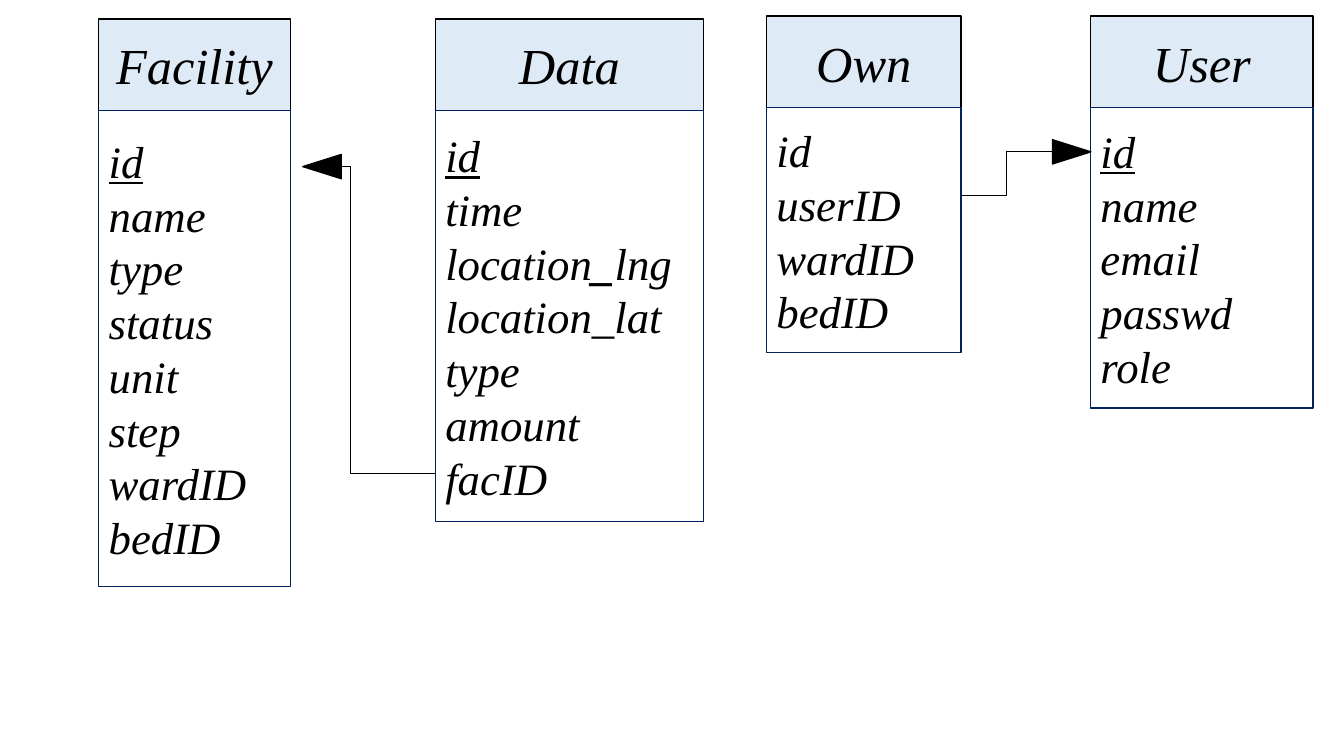
from dataclasses import dataclass

from lxml import etree
from pptx import Presentation
from pptx.dml.color import RGBColor
from pptx.enum import shapes, text
from pptx.oxml import ns
from pptx.util import Pt


@dataclass(frozen=True)
class Theme:
    """Colours, font and type sizes of the schema diagram."""
    ink: RGBColor = RGBColor(0, 0, 0)
    header: RGBColor = RGBColor(0xDE, 0xEB, 0xF7)
    frame: RGBColor = RGBColor(0x00, 0x20, 0x60)
    family: str = "Times New Roman"
    heading: int = 36
    field: int = 32
    border: float = 1
    link: float = 0.5


class Diagram:
    """Draws entities and their relations on one slide."""

    def __init__(self, slide, theme):
        """Keep the slide and its style."""
        self.slide, self.theme = slide, theme

    def shape(self, parent, kind, box, fill, line):
        """Add a preset shape with a flat fill and a thin border."""
        part = parent.add_shape(kind, *map(Pt, box))
        part.shadow.inherit = False
        if fill is None:
            part.fill.background()
        else:
            part.fill.solid()
            part.fill.fore_color.rgb = fill
        part.line.color.rgb = line
        part.line.width = Pt(self.theme.border)
        return part

    def label(self, paragraph, words, size, align, key=False):
        """Set italic words, with the text between asterisks in bold."""
        paragraph.alignment = align
        for index, piece in enumerate(words.split("*")):
            run = paragraph.add_run()
            run.text = piece
            if index % 2:
                run.font.bold = True
            for font in (paragraph.font, run.font):
                font.name, font.size, font.italic = self.theme.family, Pt(size), True
                font.color.rgb = self.theme.ink
                if key:
                    font.underline = True

    def entity(self, name, fields, left, top, width, heights, keyed=True):
        """Add a grouped header and field list."""
        theme = self.theme
        head_height, list_height = heights
        group = self.slide.shapes.add_group_shape().shapes
        rectangle = shapes.MSO_SHAPE.RECTANGLE
        header = self.shape(group, rectangle, (left, top, width, head_height),
                            theme.header, theme.ink)
        body = self.shape(group, rectangle, (left, top + head_height, width, list_height),
                          None, theme.frame)
        for part in (header, body):
            part.text_frame.word_wrap = True
            part.text_frame.vertical_anchor = text.MSO_ANCHOR.MIDDLE
        self.label(header.text_frame.paragraphs[0], name, theme.heading, text.PP_ALIGN.CENTER)
        for index, field in enumerate(fields):
            frame = body.text_frame
            paragraph = frame.add_paragraph() if index else frame.paragraphs[0]
            self.label(paragraph, field, theme.field, text.PP_ALIGN.LEFT, keyed and index == 0)

    def relation(self, kind, start, end, bend=None):
        """Join two points, with the bend as a share of the width."""
        link = self.slide.shapes.add_connector(kind, *map(Pt, start + end))
        link.line.color.rgb = self.theme.ink
        link.line.width = Pt(self.theme.link)
        etree.SubElement(link._element.spPr, ns.qn("a:effectLst"))
        if bend is not None:
            guides = link._element.spPr.find(ns.qn("a:prstGeom")).get_or_add_avLst()
            etree.SubElement(guides, ns.qn("a:gd"), name="adj1", fmla=f"val {round(bend * 100000)}")

    def arrowhead(self, centre, rotation):
        """Add a solid triangle turned around its centre."""
        width, height = 17.3, 27.4
        x, y = centre
        head = self.shape(self.slide.shapes, shapes.MSO_SHAPE.ISOSCELES_TRIANGLE,
                          (x - width / 2, y - height / 2, width, height),
                          self.theme.ink, self.theme.ink)
        head.rotation = rotation


def main():
    """Build the schema slide and save it."""
    deck = Presentation()
    deck.slide_width, deck.slide_height = Pt(960), Pt(540)
    diagram = Diagram(deck.slides.add_slide(deck.slide_layouts[6]), Theme())

    diagram.entity("Data", ["id", "time", "location*_*lng", "location_lat", "type", "amount", "facID"],
                   311, 13.5, 191.5, (65.5, 293.5))
    diagram.entity("Facility", ["id", "name", "type", "status", "unit", "step", "wardID", "bedID"],
                   70.5, 13.5, 137, (65.5, 340))
    diagram.entity("User", ["id", "name", "email", "passwd", "role"],
                   779, 11.5, 159, (65.5, 214.5))
    diagram.entity("Own", ["id", "userID", "wardID", "bedID"],
                   547.5, 11.5, 139, (65.5, 175), keyed=False)

    elbow, straight = shapes.MSO_CONNECTOR.ELBOW, shapes.MSO_CONNECTOR.STRAIGHT
    facility_turn, facility_y = 250.5, 119
    diagram.relation(elbow, (311, 338), (facility_turn, facility_y), bend=1)
    diagram.relation(straight, (facility_turn, facility_y), (244, facility_y))
    diagram.arrowhead((230, facility_y), 270)
    user_y = 108.5
    diagram.relation(elbow, (686.5, 139.5), (751.5, user_y), bend=0.5)
    diagram.arrowhead((765.5, user_y), 90)

    deck.save("out.pptx")


main()
